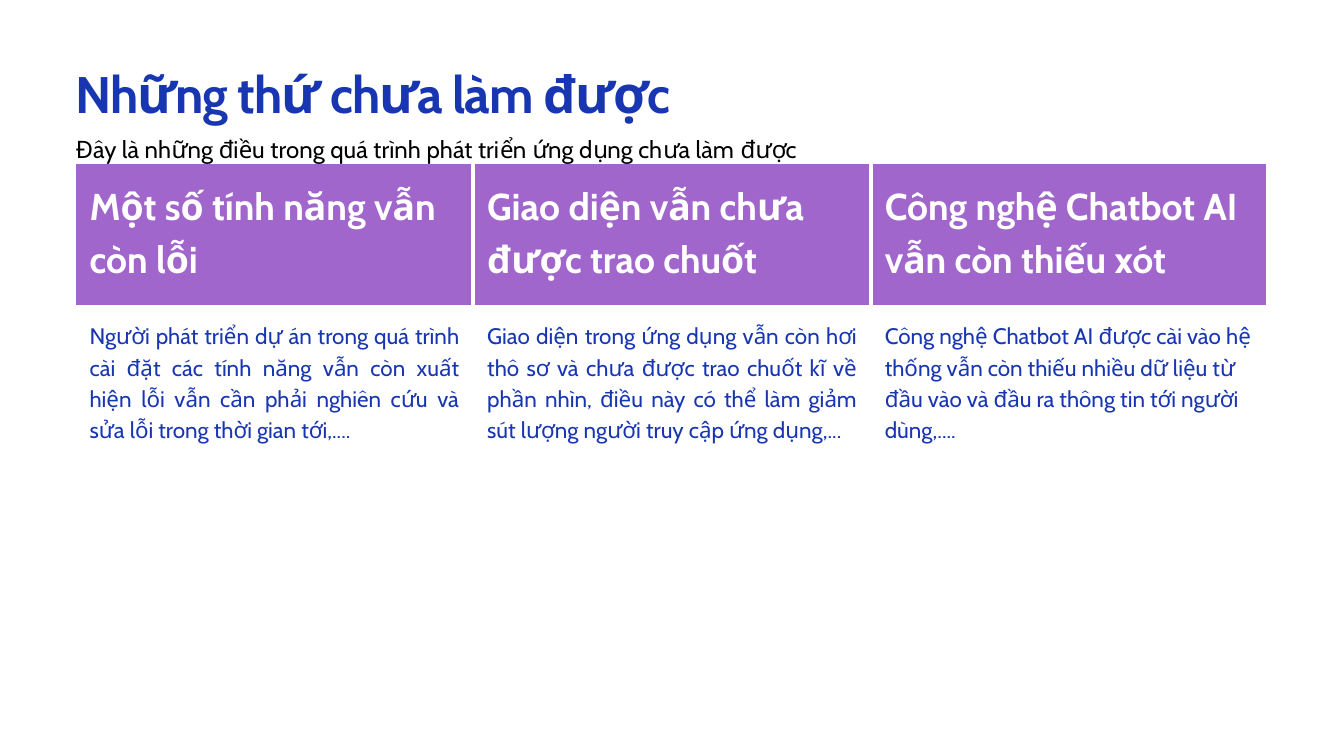
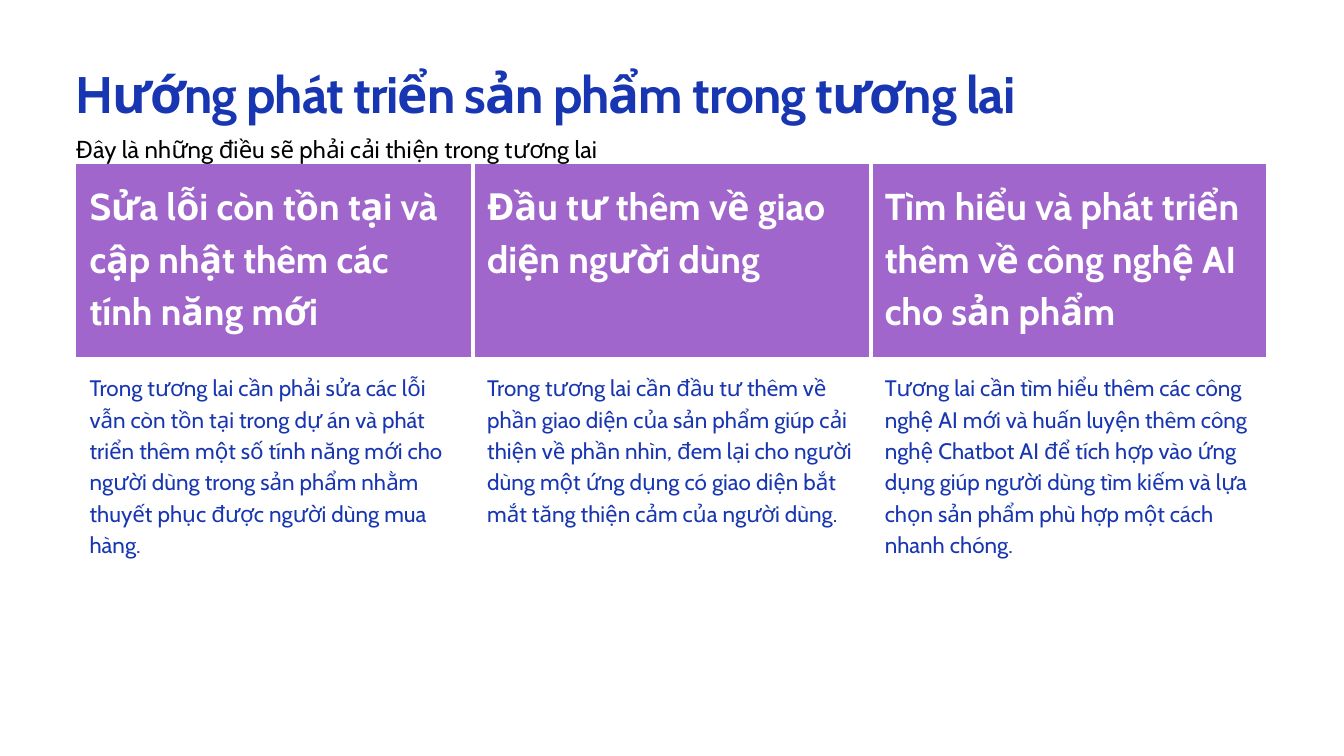
"""Build two slides, each with a title, a subtitle and a three-column table."""
import pptx
import pptx.dml.color
import pptx.enum.text
import pptx.oxml
import pptx.oxml.ns
import pptx.util

SCALE = 9525
BLUE, PURPLE, WHITE, BLACK = "1836B2", "A066CB", "FFFFFF", "000000"
LEFT = 108
TEXT_WIDTH = 1447
TABLE_TOP = 234
COLUMN_WIDTH = 568
CELL_MARGIN = 20
BORDER = pptx.util.Pt(5.25)
NAMESPACE = pptx.oxml.ns.nsdecls("a")
ALIGN = pptx.enum.text.PP_ALIGN

TITLE_STYLE = {"size": 55, "leading": 77, "fill": BLUE, "bold": True, "spacing": -110}
SUBTITLE_STYLE = {"size": 25.7, "leading": 36, "fill": BLACK, "spacing": 10}
HEADING_STYLE = {"size": 40, "leading": 56, "fill": WHITE, "bold": True}
DETAIL_STYLE = {"size": 24, "leading": 33.6, "fill": BLUE}

SLIDES = [
    {
        "title": "Những thứ chưa làm được",
        "subtitle": "Đây là những điều trong quá trình phát triển ứng dụng chưa làm được",
        "heights": (202, 292),
        "alignments": (ALIGN.JUSTIFY, ALIGN.JUSTIFY, ALIGN.LEFT),
        "headings": (
            "Một số tính năng vẫn còn lỗi",
            "Giao diện vẫn chưa được trao chuốt",
            "Công nghệ Chatbot AI vẫn còn thiếu xót",
        ),
        "details": (
            "Người phát triển dự án trong quá trình cài đặt các tính năng vẫn còn xuất hiện lỗi "
            "vẫn cần phải nghiên cứu và sửa lỗi trong thời gian tới,....",
            "Giao diện trong ứng dụng vẫn còn hơi thô sơ và chưa được trao chuốt kĩ về phần nhìn, "
            "điều này có thể làm giảm sút lượng người truy cập ứng dụng,...",
            "Công nghệ Chatbot AI được cài vào hệ thống vẫn còn thiếu nhiều dữ liệu từ đầu vào "
            "và đầu ra thông tin tới người dùng,....",
        ),
    },
    {
        "title": "Hướng phát triển sản phẩm trong tương lai",
        "subtitle": "Đây là những điều sẽ phải cải thiện trong tương lai",
        "heights": (276, 313),
        "alignments": (ALIGN.LEFT,) * 3,
        "headings": (
            "Sửa lỗi còn tồn tại và cập nhật thêm các tính năng mới",
            "Đầu tư thêm về giao diện người dùng",
            "Tìm hiểu và phát triển thêm về công nghệ AI cho sản phẩm",
        ),
        "details": (
            "Trong tương lai cần phải sửa các lỗi vẫn còn tồn tại trong dự án và phát triển thêm "
            "một số tính năng mới cho người dùng trong sản phẩm nhằm thuyết phục được người dùng "
            "mua hàng.",
            "Trong tương lai cần đầu tư thêm về phần giao diện của sản phẩm giúp cải thiện về "
            "phần nhìn, đem lại cho người dùng một ứng dụng có giao diện bắt mắt tăng thiện cảm "
            "của người dùng.",
            "Tương lai cần tìm hiểu thêm các công nghệ AI mới và huấn luyện thêm công nghệ "
            "Chatbot AI để tích hợp vào ứng dụng giúp người dùng tìm kiếm và lựa chọn sản phẩm "
            "phù hợp một cách nhanh chóng.",
        ),
    },
]


def px(length):
    return pptx.util.Emu(length * SCALE)


def color(value):
    return pptx.dml.color.RGBColor.from_string(value)


class Deck:
    font = "Cabin"

    def __init__(self):
        self.presentation = pptx.Presentation()
        self.presentation.slide_width = px(1920)
        self.presentation.slide_height = px(1080)
        self.slide = None

    def add_slide(self):
        layout = self.presentation.slide_layouts[1]
        self.slide = self.presentation.slides.add_slide(layout)

    def add_text(self, frame, text, size, leading, fill, bold=False, spacing=0, align=ALIGN.LEFT):
        frame.word_wrap = True
        paragraph = frame.paragraphs[0]
        properties = paragraph._p.get_or_add_pPr()
        properties.set("marL", "0")
        properties.set("indent", "0")
        properties.append(pptx.oxml.parse_xml(f"<a:buNone {NAMESPACE}/>"))
        paragraph.alignment = align
        paragraph.line_spacing = pptx.util.Pt(leading)
        paragraph.space_before = pptx.util.Pt(0)
        run = paragraph.add_run()
        run.text = text
        run.font.name = self.font
        run.font.size = pptx.util.Pt(size)
        run.font.bold = bold
        run.font.color.rgb = color(fill)
        if spacing:
            run._r.get_or_add_rPr().set("spc", str(spacing))

    def add_placeholder_text(self, index, top, height, text, style):
        shape = self.slide.placeholders[index]
        shape.left, shape.top = px(LEFT), px(top)
        shape.width, shape.height = px(TEXT_WIDTH), px(height)
        frame = shape.text_frame
        frame.margin_left = frame.margin_top = frame.margin_right = frame.margin_bottom = 0
        frame.vertical_anchor = pptx.enum.text.MSO_ANCHOR.TOP
        frame.auto_size = pptx.enum.text.MSO_AUTO_SIZE.SHAPE_TO_FIT_TEXT
        self.add_text(frame, text, **style)

    def set_borders(self, cell, white_sides):
        properties = cell._tc.get_or_add_tcPr()
        for position, side in enumerate("LRTB"):
            if side in white_sides:
                width, fill = BORDER, f'<a:solidFill><a:srgbClr val="{WHITE}"/></a:solidFill>'
            else:
                width, fill = 0, "<a:noFill/>"
            line = f'<a:ln{side} {NAMESPACE} w="{width}">{fill}</a:ln{side}>'
            properties.insert(position, pptx.oxml.parse_xml(line))

    def fill_cell(self, cell, background, white_sides, text, style, align=ALIGN.LEFT):
        cell.margin_left = cell.margin_top = px(CELL_MARGIN)
        cell.margin_right = cell.margin_bottom = px(CELL_MARGIN)
        if background:
            cell.fill.solid()
            cell.fill.fore_color.rgb = color(background)
        else:
            cell.fill.background()
        self.set_borders(cell, white_sides)
        self.add_text(cell.text_frame, text, align=align, **style)

    def add_table(self, heights, headings, details, alignments):
        count = len(headings)
        shape = self.slide.shapes.add_table(
            2, count, px(LEFT), px(TABLE_TOP), px(count * COLUMN_WIDTH), px(sum(heights))
        )
        self.slide.shapes.title.element.addprevious(shape.element)
        table = shape.table
        table.first_row = table.horz_banding = False
        for row, height in zip(table.rows, heights):
            row.height = px(height)
        for column, (heading, detail, align) in enumerate(zip(headings, details, alignments)):
            table.columns[column].width = px(COLUMN_WIDTH)
            sides = "LR" if column else "R"
            self.fill_cell(table.cell(0, column), PURPLE, sides, heading, HEADING_STYLE)
            self.fill_cell(table.cell(1, column), None, sides, detail, DETAIL_STYLE, align)


def main():
    deck = Deck()
    for content in SLIDES:
        deck.add_slide()
        deck.add_placeholder_text(0, 74, 95, content["title"], TITLE_STYLE)
        deck.add_placeholder_text(1, 185, 46, content["subtitle"], SUBTITLE_STYLE)
        deck.add_table(
            content["heights"], content["headings"], content["details"], content["alignments"]
        )
    deck.presentation.save("out.pptx")


if __name__ == "__main__":
    main()
